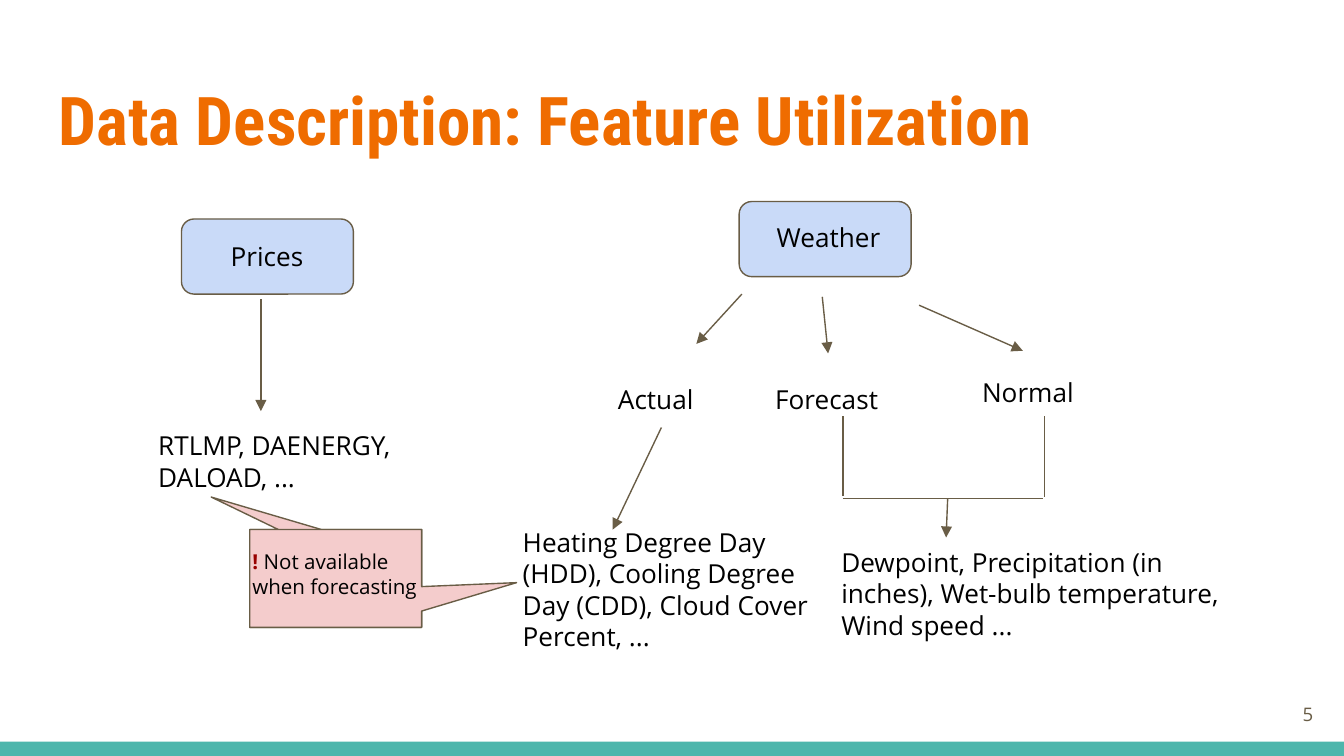
from lxml import etree
from pptx import Presentation
from pptx.dml.color import RGBColor
from pptx.enum.shapes import MSO_CONNECTOR, MSO_SHAPE
from pptx.enum.text import MSO_ANCHOR, PP_ALIGN
from pptx.oxml.ns import qn
from pptx.util import Cm, Pt

RECT = MSO_SHAPE.RECTANGLE
ROUND = MSO_SHAPE.ROUNDED_RECTANGLE
CALLOUT = MSO_SHAPE.RECTANGULAR_CALLOUT
STRAIGHT = MSO_CONNECTOR.STRAIGHT
MIDDLE = MSO_ANCHOR.MIDDLE
RIGHT = PP_ALIGN.RIGHT

HUES = {"teal": "4DB6AC", "blue": "C9DAF8", "pink": "F4CCCC", "brown": "695D46",
        "orange": "EF6C00", "red": "980000", "black": "000000"}
HUES = {name: RGBColor.from_string(code) for name, code in HUES.items()}

deck = Presentation()
deck.slide_width, deck.slide_height = Cm(25.4), Cm(14.29)
slide = deck.slides.add_slide(deck.slide_layouts[6])
shapes = slide.shapes


def block(kind, place, hue, adjust=(), edge=True):
    """Add a filled shape; place is left, top, width, height in cm."""
    shape = shapes.add_shape(kind, *map(Cm, place))
    shape.shadow.inherit = False
    shape.fill.solid()
    shape.fill.fore_color.rgb = HUES[hue]
    for i, value in enumerate(adjust):
        shape.adjustments[i] = value
    if edge:
        shape.line.color.rgb = HUES["brown"]
        shape.line.width = Pt(0.75)
    else:
        shape.line.fill.background()


def label(text, place, size=14, hue="black", face="Open Sans", bold=False):
    """Add a wrapped text box and return its text frame."""
    frame = shapes.add_textbox(*map(Cm, place)).text_frame
    frame.word_wrap = True
    frame.margin_left = frame.margin_right = Cm(0.25)
    frame.margin_top = frame.margin_bottom = Cm(0.25)
    frame.text = text
    font = frame.paragraphs[0].runs[0].font
    font.name, font.size, font.bold = face, Pt(size), bold
    font.color.rgb = HUES[hue]
    return frame


# Bottom bar, title and page number
block(RECT, (0, 14.02, 25.4, 0.27), "teal", edge=False)
label("Data Description: Feature Utilization", (0.86, 1.24, 23.67, 1.96),
      36, "orange", "Roboto Condensed", True)
number = label("5", (23.55, 12.95, 1.52, 1.09), 10, "brown")
number.vertical_anchor = MIDDLE
number.paragraphs[0].alignment = RIGHT

# Source boxes and callouts
for left, top in ((13.97, 3.81), (3.43, 4.14)):
    block(ROUND, (left, top, 3.25, 1.42), "blue", [0.167])
for tip in ((-0.724, -0.832), (1.052, 0.043)):
    block(CALLOUT, (4.72, 10.01, 3.25, 1.85), "pink", tip)

# Feature names
for text, place in (
    ("Prices", (4.11, 4.29, 3.86, 1.09)),
    ("Weather", (14.43, 3.94, 3.66, 1.09)),
    ("RTLMP, DAENERGY, DALOAD, ...", (2.74, 7.87, 5.79, 1.85)),
    ("Actual", (11.43, 6.99, 2.16, 1.09)),
    ("Forecast", (14.4, 6.99, 3.25, 0.64)),
    ("Normal", (18.31, 6.86, 2.82, 0.99)),
    ("Heating Degree Day (HDD), Cooling Degree Day (CDD), Cloud Cover Percent, ...",
     (9.63, 9.7, 5.99, 3.3)),
    ("Dewpoint, Precipitation (in inches), Wet-bulb temperature, Wind speed ...",
     (15.65, 10.08, 8.13, 1.93)),
):
    label(text, place)

# Warning in the callout
note = label("! ", (4.52, 10.13, 3.66, 1.42), 11, "red", bold=True)
run = note.paragraphs[0].add_run()
run.text = "Not available when forecasting"
run.font.name, run.font.size = "Open Sans", Pt(11)
run.font.color.rgb = HUES["black"]

# Arrows, then the bracket below Forecast and Normal
arrows = (
    (4.93, 5.66, 4.93, 7.77),
    (14.02, 5.56, 13.16, 6.5),
    (15.54, 5.61, 15.65, 6.68),
    (17.37, 5.77, 19.33, 6.63),
    (12.5, 8.08, 11.58, 10.01),
    (17.91, 9.42, 17.88, 10.16),
)
bracket = (
    (15.93, 9.42, 19.71, 9.42),
    (15.93, 7.87, 15.93, 9.37),
    (19.74, 7.87, 19.74, 9.4),
)
for ends in arrows + bracket:
    link = shapes.add_connector(STRAIGHT, *map(Cm, ends))
    link.line.color.rgb = HUES["brown"]
    link.line.width = Pt(0.75)
    if ends in arrows:
        etree.SubElement(link.line._get_or_add_ln(), qn("a:tailEnd"), type="triangle")
    etree.SubElement(link._element.spPr, qn("a:effectLst"))

deck.save("out.pptx")
